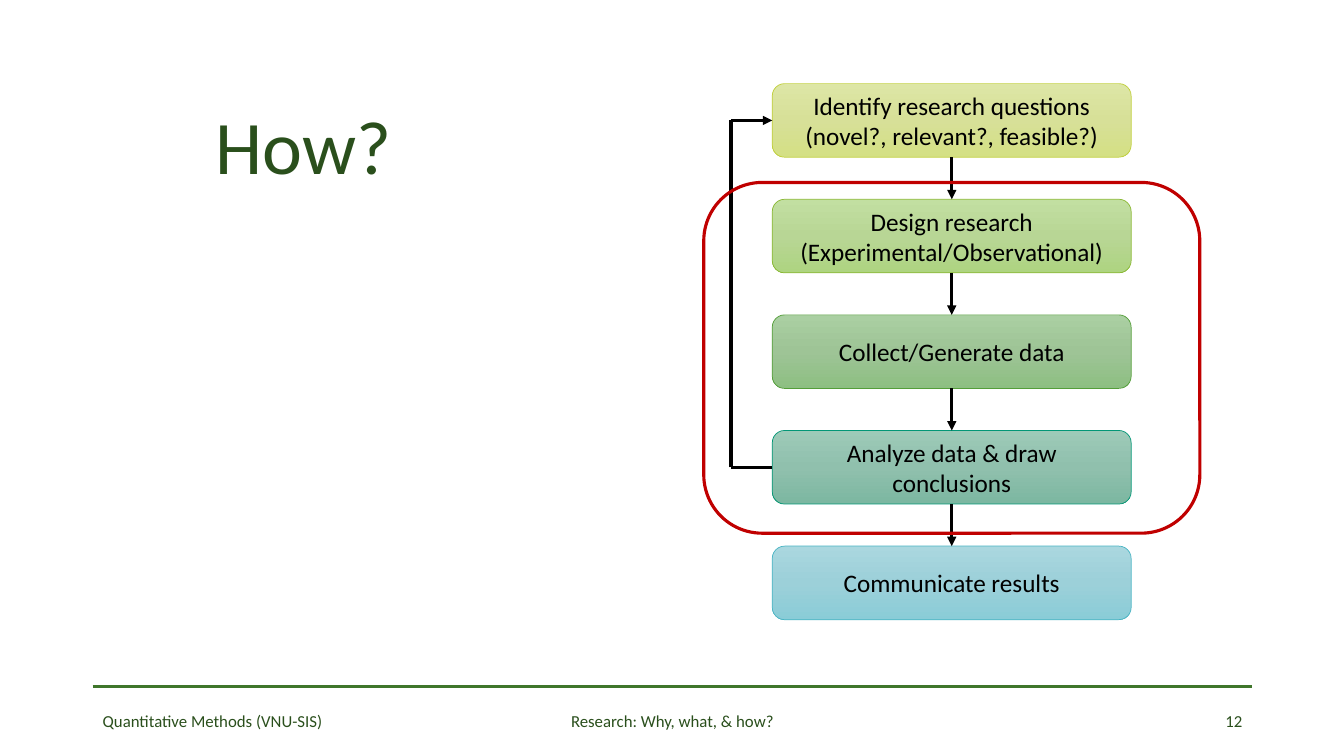
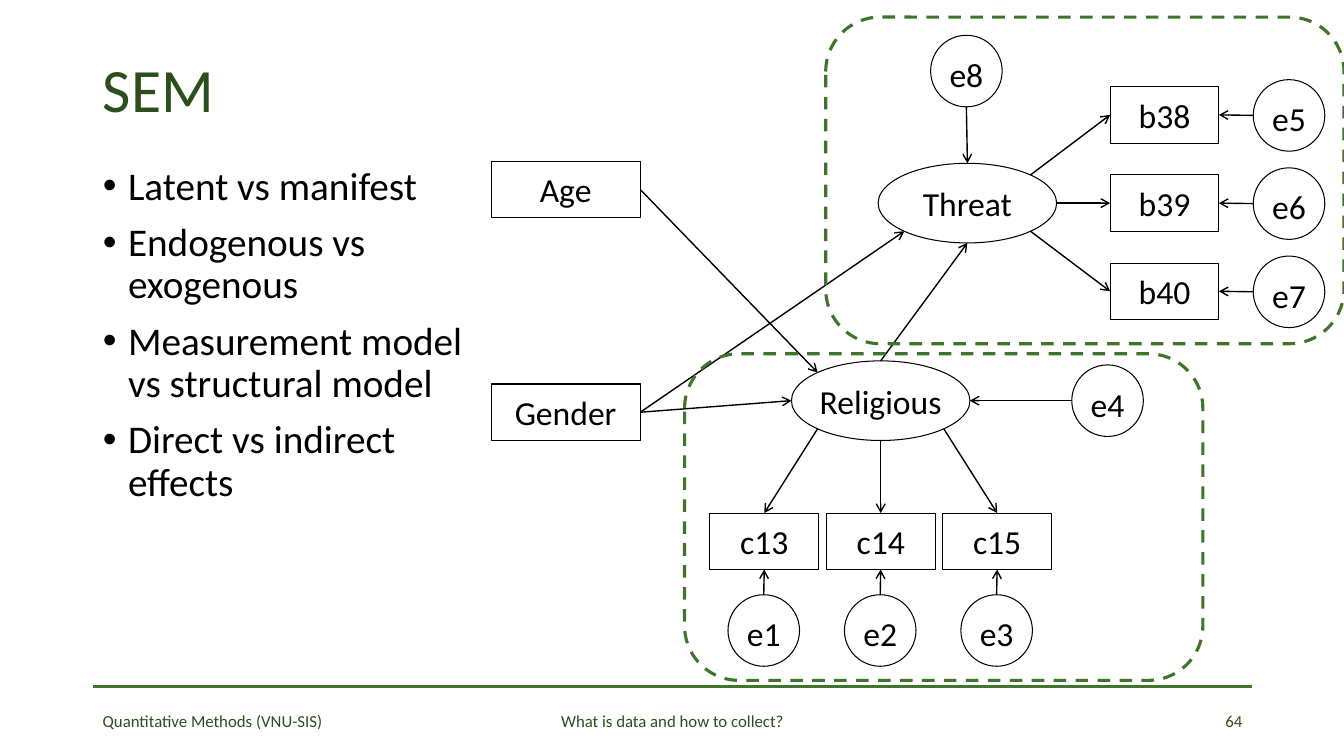
from copy import deepcopy
from dataclasses import dataclass

from lxml import etree
from pptx import Presentation
from pptx import util as u
from pptx.dml.color import RGBColor
from pptx.enum import dml, shapes, text
from pptx.oxml.ns import qn

Inches = u.Inches
KIND = shapes.MSO_SHAPE
ALIGN = text.PP_ALIGN
ANCHOR = text.MSO_ANCHOR


@dataclass(frozen=True)
class Theme:
    font: str = "Calibri"
    title: str = "2A4F1C"
    rule: str = "3F762B"
    group: str = "3E752A"
    focus: str = "C00000"
    ink: str = "000000"
    display_size: int = 54
    title_size: int = 44
    body_size: int = 28
    node_size: int = 24
    step_size: int = 18
    footer_size: int = 12
    heavy: float = 2.25
    arrow: float = 1
    outline: float = 0.75
    hairline: float = 0.5


THEME = Theme()
COURSE = "Quantitative Methods (VNU-SIS)"

# Text, three gradient colours from top to bottom, outline
STEPS = [
    ("Identify research questions\n(novel?, relevant?, feasible?)", ("DDE6A6", "D7E098", "D4E084"), "C0CF3A"),
    ("Design research\n(Experimental/Observational)", ("C2DFA1", "B8D695", "AED481"), "8AB833"),
    ("Collect/Generate data", ("AACFA2", "9EC496", "8DBF82"), "549E39"),
    ("Analyze data & draw conclusions", ("9DCAB8", "90C0AD", "7CB7A1"), "029676"),
    ("Communicate results", ("AAD7DF", "9CD0D9", "8ACCD7"), "4AB5C4"),
]

BULLETS = [
    "Latent vs manifest",
    "Endogenous vs exogenous",
    "Measurement model vs structural model",
    "Direct vs indirect effects",
]
THREAT_ITEMS = [("b38", "e5"), ("b39", "e6"), ("b40", "e7")]
RELIGIOUS_ITEMS = [("c13", "e1"), ("c14", "e2"), ("c15", "e3")]

# Kind, width, height
NODE_KINDS = {
    "cause": (KIND.RECTANGLE, 1.48, 0.56),
    "latent": (KIND.OVAL, 1.77, 0.79),
    "item": (KIND.RECTANGLE, 1.08, 0.56),
    "error": (KIND.OVAL, 0.71, 0.71),
}
# Name, kind, left, top
NODES = [
    ("Age", "cause", 4.87, 1.6),
    ("Gender", "cause", 4.87, 3.81),
    ("Threat", "latent", 8.71, 1.62),
    ("Religious", "latent", 7.85, 3.58),
    ("e4", "error", 10.63, 3.62),
    ("e8", "error", 9.23, 0.35),
]
# From, side, to, side
PATHS = [
    ("Gender", "right", "Religious", "left"),
    ("Age", "right", "Religious", "top left"),
    ("Religious", "top", "Threat", "bottom"),
    ("Gender", "right", "Threat", "bottom left"),
    ("e4", "left", "Religious", "right"),
    ("e8", "bottom", "Threat", "top"),
]
RECTANGLE_SITES = ["top", "left", "bottom", "right"]
OVAL_SITES = ["top", "top left", "left", "bottom left",
              "bottom", "bottom right", "right", "top right"]


def color(value):
    return RGBColor.from_string(value)


def write(frame, lines, *, size, ink=THEME.ink, align=ALIGN.LEFT, anchor=ANCHOR.MIDDLE,
          wrap=True, insets=(0.1, 0.05), spacing=None, before=0, bullet=False):
    """Fill a text frame, one paragraph per item; a newline is a line break."""
    frame.word_wrap = wrap
    frame.auto_size = text.MSO_AUTO_SIZE.NONE
    frame.vertical_anchor = anchor
    frame.margin_left = frame.margin_right = Inches(insets[0])
    frame.margin_top = frame.margin_bottom = Inches(insets[1])
    for index, line in enumerate(lines):
        para = frame.paragraphs[0] if index == 0 else frame.add_paragraph()
        if bullet:
            props = para._p.get_or_add_pPr()
            props.set("marL", str(Inches(0.25)))
            props.set("indent", str(-Inches(0.25)))
            etree.SubElement(props, qn("a:buChar")).set("char", "•")
        para.alignment = align
        para.space_before = u.Pt(before if index else 0)
        if spacing:
            para.line_spacing = spacing
        for part, piece in enumerate(line.split("\n")):
            if part:
                para.add_line_break()
            span = para.add_run()
            span.text = piece
            span.font.name = THEME.font
            span.font.size = u.Pt(size)
            span.font.color.rgb = color(ink)


def place(shape, left, top, width, height):
    shape.left, shape.top = Inches(left), Inches(top)
    shape.width, shape.height = Inches(width), Inches(height)


def add_outline(page, kind, area, line, weight, dash=None):
    shape = page.shapes.add_shape(kind, *map(Inches, area))
    shape.shadow.inherit = False
    shape.fill.background()
    shape.line.color.rgb = color(line)
    shape.line.width = u.Pt(weight)
    if dash:
        shape.line.dash_style = dash
    return shape


def add_line(page, start, end, weight, ink=THEME.ink, head=None):
    line = page.shapes.add_connector(shapes.MSO_CONNECTOR.STRAIGHT, *start, *end)
    line.line.color.rgb = color(ink)
    line.line.width = u.Pt(weight)
    if head:
        stroke = line.line._get_or_add_ln()
        etree.SubElement(stroke, qn("a:tailEnd")).set("type", head)
    etree.SubElement(line.element.spPr, qn("a:effectLst"))
    return line


def side_point(shape, side):
    """Point on a shape's edge; corner sides lie on the oval's diagonals."""
    words = side.split()
    reach = 0.5 if len(words) == 1 else 0.5 * 0.5 ** 0.5
    across = ("right" in words) - ("left" in words)
    down = ("bottom" in words) - ("top" in words)
    return (int(shape.left + shape.width * (0.5 + reach * across)),
            int(shape.top + shape.height * (0.5 + reach * down)))


def join(page, source, source_side, target, target_side, weight, head):
    """Arrow between two shapes, glued at both ends."""
    line = add_line(page, side_point(source, source_side), side_point(target, target_side),
                    weight, head=head)
    glue = line.element.find(".//" + qn("p:cNvCxnSpPr"))
    for tag, shape, side in (("a:stCxn", source, source_side), ("a:endCxn", target, target_side)):
        sites = OVAL_SITES if shape.auto_shape_type == KIND.OVAL else RECTANGLE_SITES
        end = etree.SubElement(glue, qn(tag))
        end.set("id", str(shape.shape_id))
        end.set("idx", str(sites.index(side)))


def fill_gradient(shape, colors):
    shape.fill.gradient()
    shape.fill.gradient_angle = 270
    stops = shape.element.find(".//" + qn("a:gsLst"))
    stops.insert(1, deepcopy(stops[0]))
    for index, (stop, value) in enumerate(zip(shape.fill.gradient_stops, colors)):
        stop.position = index / (len(colors) - 1)
        stop.color.rgb = color(value)


def add_page(deck, layout, title, area, size, topic, number):
    page = deck.slides.add_slide(deck.slide_layouts[layout])
    place(page.shapes.title, *area)
    write(page.shapes.title.text_frame, [title], size=size, ink=THEME.title, spacing=0.9)
    footers = [(COURSE, 0.92, 2.51, ALIGN.LEFT), (topic, 3.81, 5.72, ALIGN.CENTER),
               (number, 9.42, 3, ALIGN.RIGHT)]
    for label, left, width, align in footers:
        box = page.shapes.add_textbox(*map(Inches, (left, 6.95, width, 0.4)))
        write(box.text_frame, [label], size=THEME.footer_size, ink=THEME.title, align=align)
    return page


def add_master_rule(deck, page):
    """Draw the footer rule once, then move it to the slide master."""
    rule = add_line(page, (Inches(0.92), Inches(6.81)), (Inches(12.42), Inches(6.81)),
                    THEME.heavy, THEME.rule)
    deck.slide_master.shapes.element.append(rule.element)


def build_process(deck):
    page = add_page(deck, 5, "How?", (2.04, 0.97, 2.43, 1.04), THEME.display_size,
                    "Research: Why, what, & how?", "12")
    add_master_rule(deck, page)
    boxes = []
    for index, (label, colors, line) in enumerate(STEPS):
        area = (7.66, 0.83 + 1.147 * index, 3.56, 0.73)
        box = add_outline(page, KIND.ROUNDED_RECTANGLE, area, line, THEME.hairline)
        fill_gradient(box, colors)
        write(box.text_frame, [label], size=THEME.step_size, align=ALIGN.CENTER)
        boxes.append(box)
    for upper, lower in zip(boxes, boxes[1:]):
        join(page, upper, "bottom", lower, "top", THEME.heavy, "triangle")

    start, end = side_point(boxes[3], "left"), side_point(boxes[0], "left")
    lane = Inches(7.25)
    corners = [start, (lane, start[1]), (lane, end[1]), end]
    for here, there in zip(corners, corners[1:]):
        add_line(page, here, there, THEME.heavy, head="triangle" if there == end else None)
    add_outline(page, KIND.ROUNDED_RECTANGLE, (6.98, 1.81, 4.92, 3.48), THEME.focus, THEME.heavy)


def build_model(deck):
    page = add_page(deck, 1, "SEM", (0.92, 0.4, 11.5, 1.04), THEME.title_size,
                    "What is data and how to collect?", "64")
    body = page.placeholders[1]
    place(body, 0.92, 1.6, 3.86, 5.16)
    write(body.text_frame, BULLETS, size=THEME.body_size, anchor=ANCHOR.TOP,
          spacing=0.9, before=10, bullet=True)

    nodes, paths = list(NODES), list(PATHS)
    sides = ["top right", "right", "bottom right"]
    for index, (item, error) in enumerate(THREAT_ITEMS):
        step = 0.875 * index
        nodes += [(item, "item", 11.01, 0.86 + step), (error, "error", 12.43, 0.79 + step)]
        paths += [(error, "left", item, "right"), ("Threat", sides[index], item, "left")]
    sides = ["bottom left", "bottom", "bottom right"]
    for index, (item, error) in enumerate(RELIGIOUS_ITEMS):
        step = 1.155 * index
        nodes += [(item, "item", 7.04 + step, 5.09), (error, "error", 7.22 + step, 5.9)]
        paths += [(error, "top", item, "bottom"), ("Religious", sides[index], item, "top")]

    drawn = {}
    for name, role, left, top in nodes:
        kind, width, height = NODE_KINDS[role]
        node = add_outline(page, kind, (left, top, width, height), THEME.ink, THEME.outline)
        write(node.text_frame, [name], size=THEME.node_size, align=ALIGN.CENTER,
              anchor=ANCHOR.TOP, wrap=False, insets=(0, 0.08))
        drawn[name] = node
    for source, source_side, target, target_side in paths:
        join(page, drawn[source], source_side, drawn[target], target_side, THEME.arrow, "arrow")
    for left, top in ((8.19, 0.17), (6.79, 3.51)):
        add_outline(page, KIND.ROUNDED_RECTANGLE, (left, top, 5.14, 3.24), THEME.group,
                    THEME.heavy, dml.MSO_LINE.DASH)


def main():
    deck = Presentation()
    deck.slide_width, deck.slide_height = Inches(13.33), Inches(7.5)
    build_process(deck)
    build_model(deck)
    deck.save("out.pptx")


if __name__ == "__main__":
    main()
